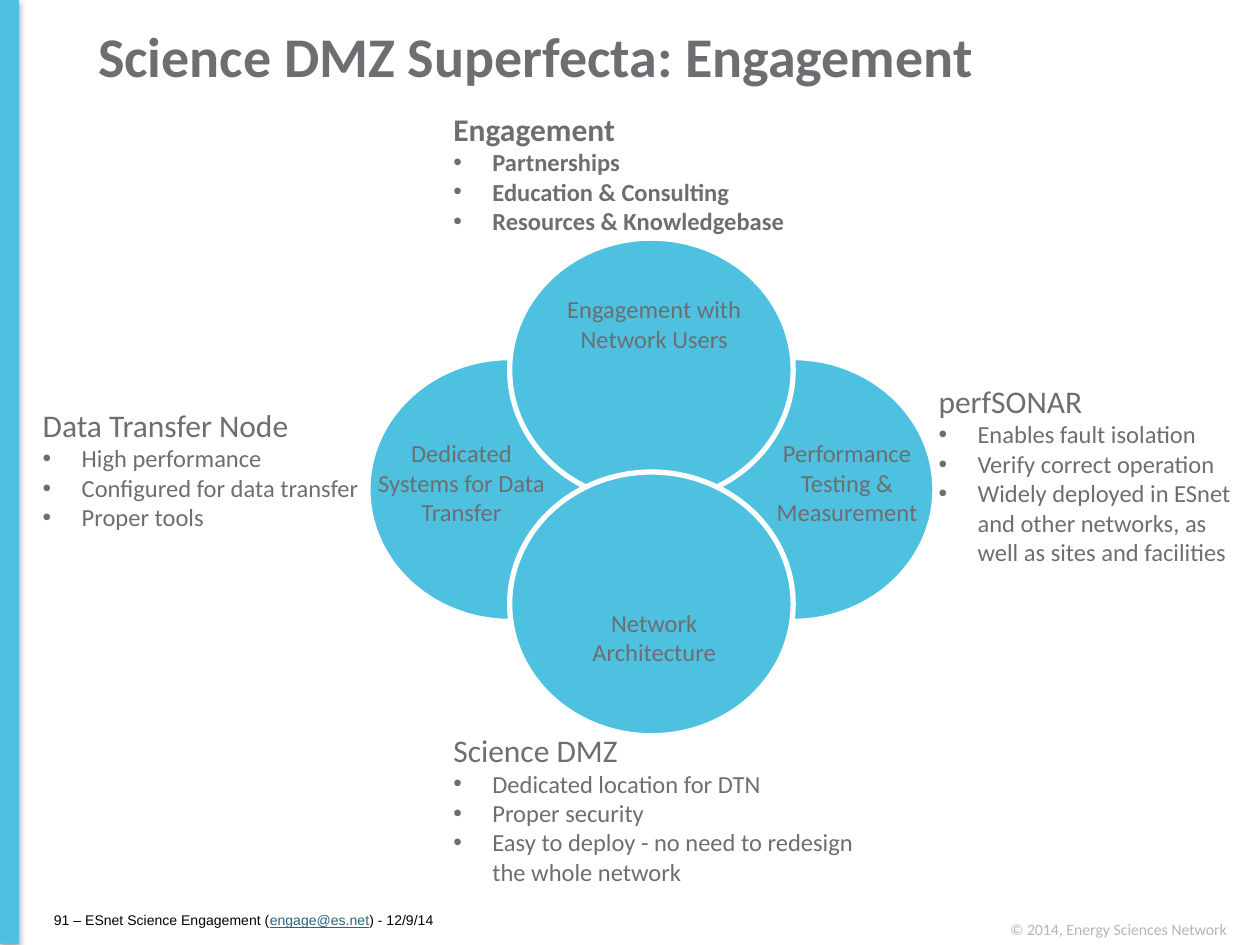
from dataclasses import dataclass

from lxml.etree import SubElement
from pptx import Presentation
from pptx.dml.color import RGBColor
from pptx.enum.shapes import MSO_SHAPE
from pptx.enum.text import MSO_ANCHOR, PP_ALIGN
from pptx.oxml.ns import qn
from pptx.util import Inches, Pt

SLIDE_WIDTH, SLIDE_HEIGHT = Inches(10), Inches(7.5)
COLUMN, ROW = SLIDE_WIDTH / 100, SLIDE_HEIGHT / 75


@dataclass(frozen=True)
class Theme:
    accent: str = "4EC1E0"
    text: str = "6D6E71"
    muted: str = "B6B6B8"
    link: str = "266782"
    black: str = "000000"
    white: str = "FFFFFF"
    font: str = "Calibri"
    footer_font: str = "Arial"
    title_size: int = 32
    heading_size: int = 18
    body_size: int = 14
    copyright_size: int = 9
    footer_size: int = 8
    outline: int = 3
    bullet_indent: int = Inches(0.31)


THEME = Theme()


@dataclass(frozen=True)
class Box:
    left: float
    top: float
    width: float
    height: float

    def inner(self, left, top, width, height):
        """Return an inner box given as shares of this one."""
        return Box(self.left + left * self.width, self.top + top * self.height,
                   width * self.width, height * self.height)

    def emu(self):
        return [round(value) for value in (self.left, self.top, self.width, self.height)]


def grid(column, row, columns, rows):
    return Box(column * COLUMN, row * ROW, columns * COLUMN, rows * ROW)


def add_text_frame(slide, box, anchor=MSO_ANCHOR.TOP):
    frame = slide.shapes.add_textbox(*box.emu()).text_frame
    frame.word_wrap = True
    frame.vertical_anchor = anchor
    return frame


def add_run(paragraph, text, size, color=THEME.text, font=THEME.font,
            bold=False, underline=False):
    run = paragraph.add_run()
    run.text = text
    run.font.name = font
    run.font.size = Pt(size)
    run.font.bold = bold
    run.font.underline = underline
    run.font.color.rgb = RGBColor.from_string(color)


def add_bullet(paragraph):
    properties = paragraph._p.get_or_add_pPr()
    properties.set("marL", str(THEME.bullet_indent))
    properties.set("indent", str(-THEME.bullet_indent))
    SubElement(properties, qn("a:buFont"), typeface="Arial")
    SubElement(properties, qn("a:buChar"), char="•")


def add_filled_shape(slide, kind, box):
    shape = slide.shapes.add_shape(kind, *box.emu())
    shape.shadow.inherit = False
    shape.fill.solid()
    shape.fill.fore_color.rgb = RGBColor.from_string(THEME.accent)
    return shape


def add_side_bar(slide, box):
    bar = add_filled_shape(slide, MSO_SHAPE.RECTANGLE, box)
    bar.line.fill.background()
    effects = bar._element.spPr.find(qn("a:effectLst"))
    shadow = SubElement(effects, qn("a:outerShdw"), blurRad=str(Pt(3.1)),
                        dist=str(Pt(1.8)), dir="5400000", rotWithShape="0")
    color = SubElement(shadow, qn("a:srgbClr"), val=THEME.black)
    SubElement(color, qn("a:alpha"), val="35000")


def add_title(slide, box, text):
    frame = add_text_frame(slide, box, MSO_ANCHOR.MIDDLE)
    add_run(frame.paragraphs[0], text, THEME.title_size, bold=True)


def add_topic(slide, box, heading, points, bold=False):
    frame = add_text_frame(slide, box)
    add_run(frame.paragraphs[0], heading, THEME.heading_size, bold=bold)
    for point in points:
        paragraph = frame.add_paragraph()
        add_bullet(paragraph)
        add_run(paragraph, point, THEME.body_size, bold=bold)


def add_circles(slide, box):
    """Draw four overlapping ovals, the last one in front."""
    circles = [
        ("Performance Testing & Measurement", (0.5, 0.24), (0.66, 0.39)),
        ("Dedicated Systems for Data Transfer", (0, 0.24), (-0.02, 0.39)),
        ("Engagement with Network Users", (0.25, 0), (0.32, 0.1)),
        ("Network Architecture", (0.25, 0.47), (0.32, 0.73)),
    ]
    for text, circle_corner, label_corner in circles:
        circle = add_filled_shape(slide, MSO_SHAPE.OVAL,
                                  box.inner(*circle_corner, 0.5, 0.53))
        circle.line.color.rgb = RGBColor.from_string(THEME.white)
        circle.line.width = Pt(THEME.outline)
        label = add_text_frame(slide, box.inner(*label_corner, 0.37, 0.2)).paragraphs[0]
        label.alignment = PP_ALIGN.CENTER
        add_run(label, text, THEME.body_size)


def add_copyright(slide, box):
    frame = add_text_frame(slide, box, MSO_ANCHOR.BOTTOM)
    add_run(frame.paragraphs[0], "© 2014, Energy Sciences Network",
            THEME.copyright_size, THEME.muted)


def add_footer(slide, box):
    paragraph = add_text_frame(slide, box, MSO_ANCHOR.MIDDLE).paragraphs[0]
    for text, color, underline in [
        ("91 – ESnet Science Engagement (", THEME.black, False),
        ("engage@es.net", THEME.link, True),
        (") - 12/9/14", THEME.black, False),
    ]:
        add_run(paragraph, text, THEME.footer_size, color, THEME.footer_font,
                underline=underline)


def main():
    presentation = Presentation()
    presentation.slide_width, presentation.slide_height = SLIDE_WIDTH, SLIDE_HEIGHT
    slide = presentation.slides.add_slide(presentation.slide_layouts[6])

    add_side_bar(slide, grid(0, 0, 1.5, 74.9))
    add_title(slide, grid(6.8, 0.6, 91.7, 7.6), "Science DMZ Superfecta: Engagement")
    add_topic(slide, grid(2.4, 31.7, 31.8, 11.1), "Data Transfer Node",
              ["High performance", "Configured for data transfer", "Proper tools"])
    add_topic(slide, grid(73.5, 29.8, 26.5, 18.2), "perfSONAR",
              ["Enables fault isolation", "Verify correct operation",
               "Widely deployed in ESnet and other networks, "
               "as well as sites and facilities"])
    add_topic(slide, grid(35, 57.5, 34.4, 13.5), "Science DMZ",
              ["Dedicated location for DTN", "Proper security",
               "Easy to deploy - no need to redesign the whole network"])
    add_circles(slide, grid(29.2, 18.9, 45, 39.5))
    add_topic(slide, grid(35, 8.2, 36, 11.1), "Engagement",
              ["Partnerships", "Education & Consulting", "Resources & Knowledgebase"],
              bold=True)
    add_copyright(slide, grid(79.2, 73, 20.8, 2))
    add_footer(slide, grid(3.3, 72, 35.4, 2))

    presentation.save("out.pptx")


if __name__ == "__main__":
    main()
